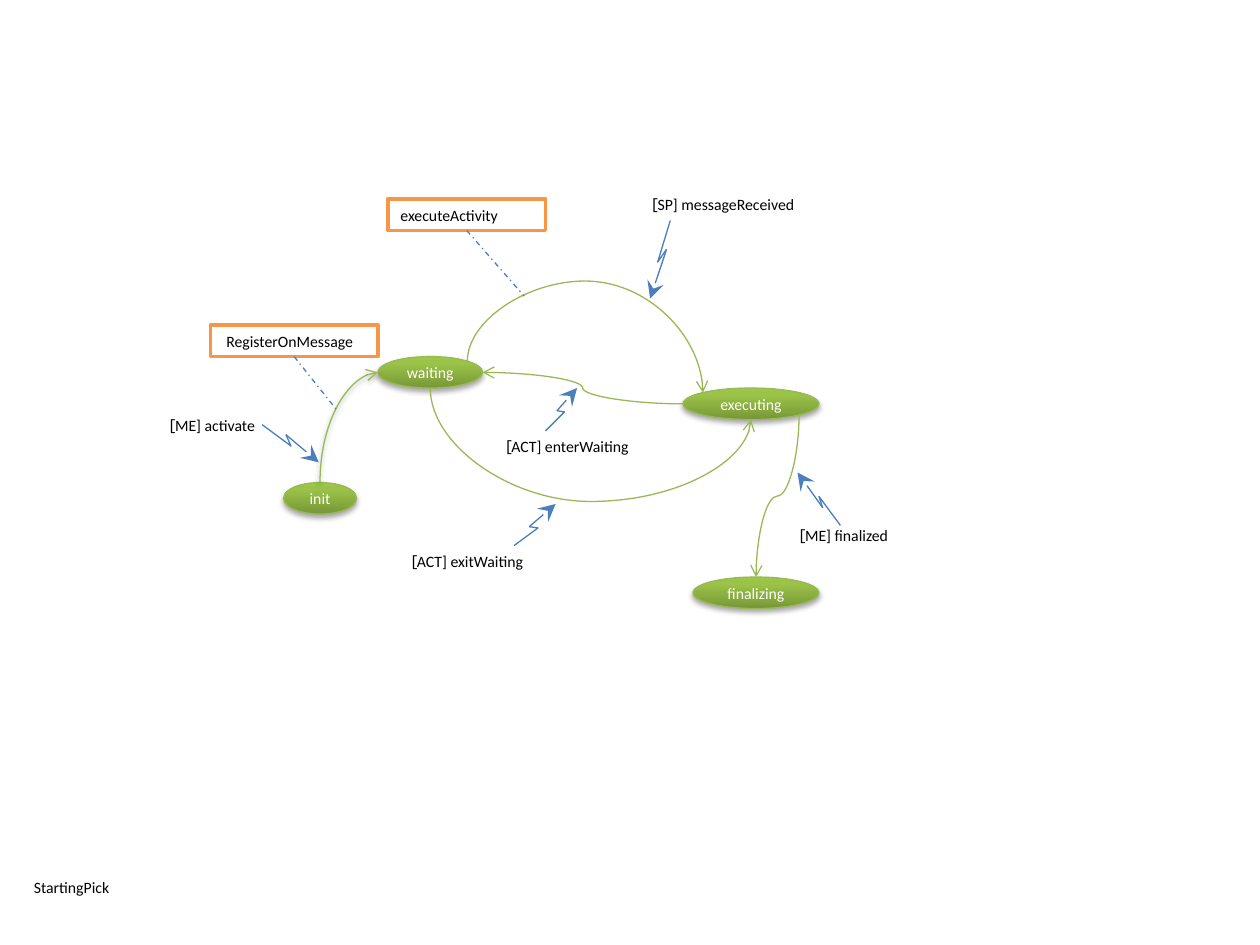
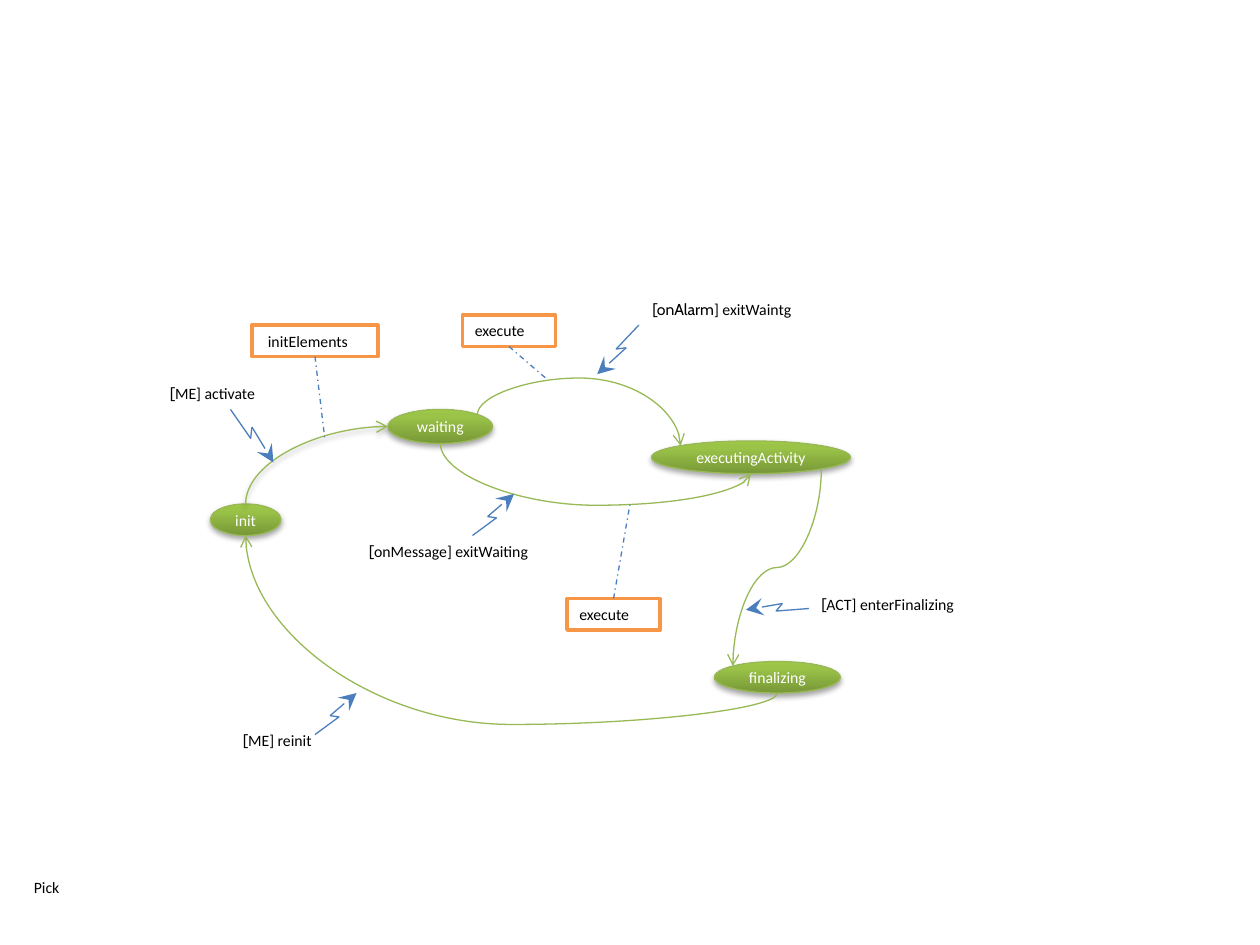
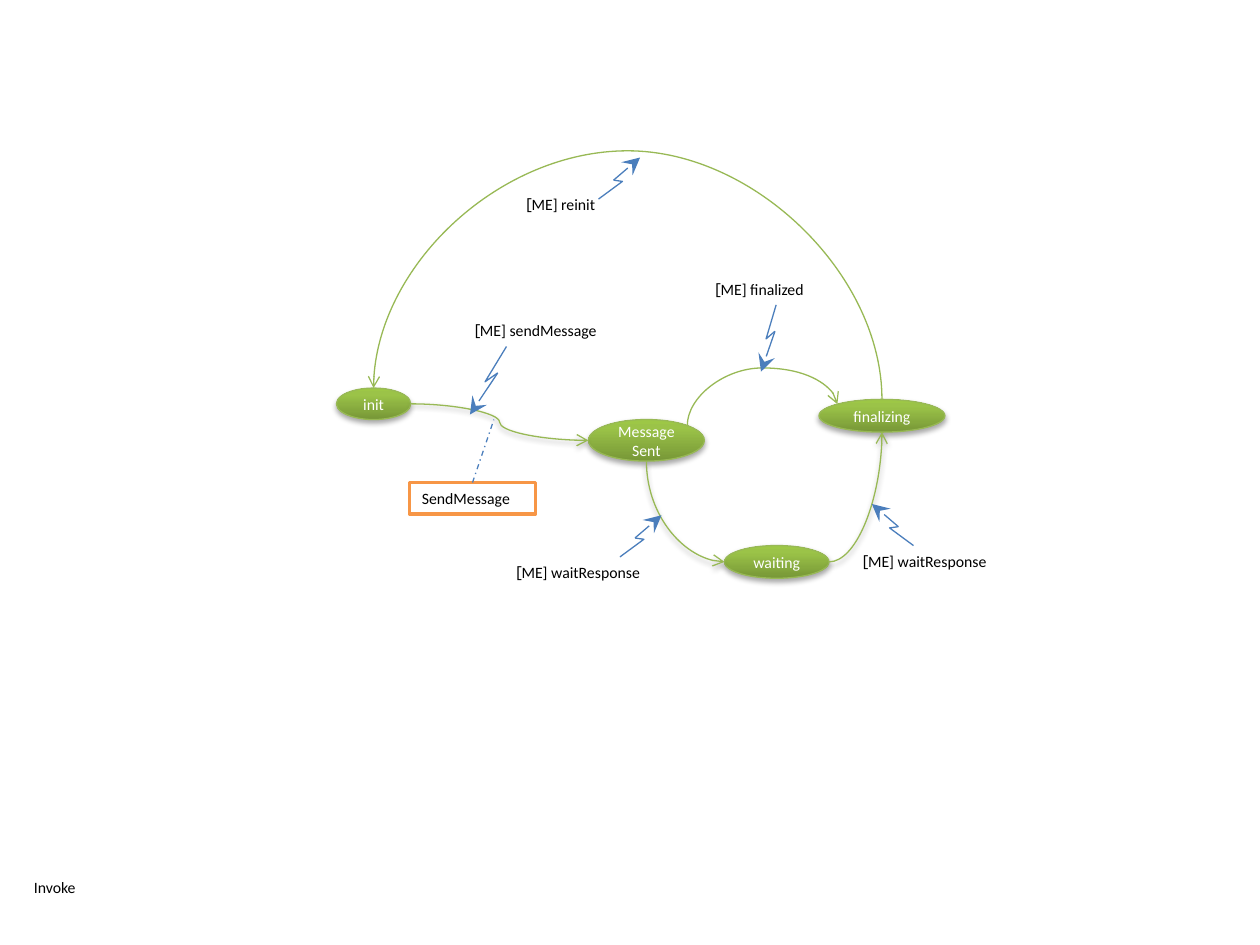
from dataclasses import dataclass
from math import cos, pi, sin

from lxml.etree import SubElement
from pptx import Presentation
from pptx.dml.color import RGBColor
from pptx.enum.dml import MSO_LINE
from pptx.enum.shapes import MSO_CONNECTOR as CXN, MSO_SHAPE as SHAPE
from pptx.enum.text import MSO_ANCHOR, MSO_AUTO_SIZE as FIT, PP_ALIGN
from pptx.oxml import parse_xml
from pptx.oxml.ns import nsdecls, qn
from pptx.util import Inches, Pt

GREEN = RGBColor(0x98, 0xB9, 0x55)
BLUE = RGBColor(0x4B, 0x7E, 0xBC)
ORANGE = RGBColor(0xF7, 0x96, 0x46)
WHITE = RGBColor(0xFF, 0xFF, 0xFF)
BLACK = RGBColor(0, 0, 0)
STATE_STOPS = (
    (0, RGBColor(0x77, 0x97, 0x37)),
    (80, RGBColor(0x9B, 0xC3, 0x48)),
    (100, RGBColor(0x9D, 0xC7, 0x46)),
)
BODY_FONT, BRACKET_FONT = "Calibri", "Cabin"
TEXT_SIZE, THIN, THICK = Pt(9), Pt(0.75), Pt(2)
ROW = 0.25  # height of boxes, labels and most states

# Connection sites of an ellipse, anticlockwise from the top
TOP, TOP_LEFT, LEFT, _, BOTTOM, BOTTOM_RIGHT, RIGHT, TOP_RIGHT = range(8)
# Connection sites of a rectangle
BOX_TOP, BOX_BOTTOM = 0, 2

Point = tuple[float, float]


@dataclass
class State:
    text: str
    x: float
    y: float
    w: float
    h: float = ROW

    def site(self, i: int) -> Point:
        a = i * pi / 4
        return (self.x + self.w / 2 * (1 - sin(a)),
                self.y + self.h / 2 * (1 - cos(a)))


@dataclass
class Transition:
    src: str
    src_site: int
    dst: str
    dst_site: int
    peak: float | None = None  # height that the arc reaches
    shadow: bool = False
    back: bool = False  # arrowhead at the source


@dataclass
class Action:
    text: str
    x: float
    y: float
    w: float
    target: Point

    @property
    def side(self) -> int:
        """The side of the box that faces the target."""
        return BOX_TOP if self.target[1] < self.y else BOX_BOTTOM


@dataclass
class Event:
    text: str
    x: float
    y: float
    w: float
    bolt: list[Point]
    lead: int = 1  # characters set in the bracket font


@dataclass
class Diagram:
    name: str
    name_w: float
    states: list[State]
    transitions: list[Transition]
    actions: list[Action]
    events: list[Event]


def rising_bolt(x: float, y: float, way: int = 1) -> list[Point]:
    """Standard bolt, rising to the right (1) or to the left (-1)."""
    steps = ((0, 0), (0.19, -0.14), (0.12, -0.15), (0.33, -0.33))
    return [(x + way * dx, y + dy) for dx, dy in steps]


def inches(*values: float) -> list[int]:
    return [Inches(v) for v in values]


# Shared styling
def set_effect(shape, shadow: bool) -> None:
    spPr = shape.element.spPr
    for old in spPr.findall(qn("a:effectLst")):
        spPr.remove(old)
    effects = SubElement(spPr, qn("a:effectLst"))
    if shadow:
        outer = SubElement(effects, qn("a:outerShdw"), blurRad="40000", dist="23000",
                           dir="5400000", rotWithShape="0")
        clr = SubElement(outer, qn("a:srgbClr"), val=str(BLACK))
        SubElement(clr, qn("a:alpha"), val="35000")


def set_line(shape, color: RGBColor, width: int = THIN) -> None:
    shape.line.color.rgb = color
    shape.line.width = width


def set_gradient(shape) -> None:
    stops = "".join(f'<a:gs pos="{pos * 1000}"><a:srgbClr val="{color}"/></a:gs>'
                    for pos, color in STATE_STOPS)
    shape.fill.solid()
    spPr = shape.element.spPr
    spPr.replace(spPr.find(qn("a:solidFill")), parse_xml(
        f'<a:gradFill {nsdecls("a")} rotWithShape="1"><a:gsLst>{stops}</a:gsLst>'
        '<a:lin ang="16200000" scaled="0"/></a:gradFill>'))


def add_arrowhead(cxn, end: str, kind: str, size: str = "med") -> None:
    SubElement(cxn.line._get_or_add_ln(), qn(f"a:{end}"), type=kind, w=size, len=size)


def add_run(p, text: str, color: RGBColor = BLACK, font: str = BODY_FONT) -> None:
    r = p.add_run()
    r.text = text
    r.font.size = TEXT_SIZE
    r.font.name = font
    r.font.color.rgb = color


def add_text(slide, text: str, x: float, y: float, w: float,
             lead: int = 0, wrap: bool = True) -> None:
    tf = slide.shapes.add_textbox(*inches(x, y, w, ROW)).text_frame
    tf.word_wrap = wrap
    tf.auto_size = FIT.SHAPE_TO_FIT_TEXT
    p = tf.paragraphs[0]
    if lead:
        add_run(p, text[:lead], font=BRACKET_FONT)
    add_run(p, text[lead:])


# Parts of a diagram
def add_state(slide, state: State):
    sp = slide.shapes.add_shape(SHAPE.OVAL, *inches(state.x, state.y, state.w, state.h))
    set_gradient(sp)
    set_line(sp, GREEN)
    set_effect(sp, True)
    tf = sp.text_frame
    tf.word_wrap = True
    tf.vertical_anchor = MSO_ANCHOR.MIDDLE
    tf.paragraphs[0].alignment = PP_ALIGN.CENTER
    add_run(tf.paragraphs[0], state.text, WHITE)
    return sp


def add_transition(slide, t: Transition, states: dict, shapes: dict) -> None:
    x1, y1 = states[t.src].site(t.src_site)
    x2, y2 = states[t.dst].site(t.dst_site)
    dx, dy = x2 - x1, y2 - y1
    sideways = [site in (LEFT, RIGHT) for site in (t.src_site, t.dst_site)]

    # The preset curve starts sideways: one that starts upright is turned
    if sideways[0]:
        turn, across, down = 0, dx, dy
    elif dx > 0 and dy > 0:
        turn, across, down = 270, -dy, dx
    else:
        turn, across, down = 90, dy, -dx
    cx, cy = (x1 + x2) / 2, (y1 + y2) / 2
    cxn = slide.shapes.add_connector(CXN.CURVE, *inches(
        cx - across / 2, cy - down / 2, cx + across / 2, cy + down / 2))
    if turn:
        cxn.element.spPr.find(qn("a:xfrm")).set("rot", str(turn * 60000))

    geom = cxn.element.spPr.find(qn("a:prstGeom"))
    if sideways[0] != sideways[1]:
        geom.set("prst", "curvedConnector2")
    else:
        bend = 0.5 if t.peak is None else (t.peak - y1) / dy
        SubElement(geom.find(qn("a:avLst")), qn("a:gd"), name="adj1",
                   fmla=f"val {round(bend * 100000)}")

    ends = cxn.element.nvCxnSpPr.cNvCxnSpPr
    for tag, name, site in (("a:stCxn", t.src, t.src_site), ("a:endCxn", t.dst, t.dst_site)):
        SubElement(ends, qn(tag), id=str(shapes[name].shape_id), idx=str(site))
    set_line(cxn, GREEN)
    add_arrowhead(cxn, "headEnd" if t.back else "tailEnd", "arrow")
    set_effect(cxn, t.shadow)


def add_action(slide, a: Action) -> None:
    sp = slide.shapes.add_shape(SHAPE.RECTANGLE, *inches(a.x, a.y, a.w, ROW))
    sp.shadow.inherit = False
    sp.fill.solid()
    sp.fill.fore_color.rgb = WHITE
    set_line(sp, ORANGE, THICK)
    tf = sp.text_frame
    tf.word_wrap = True
    tf.auto_size = FIT.SHAPE_TO_FIT_TEXT
    tf.vertical_anchor = MSO_ANCHOR.TOP
    tf.paragraphs[0].alignment = PP_ALIGN.LEFT
    add_run(tf.paragraphs[0], a.text)

    cxn = slide.shapes.add_connector(CXN.STRAIGHT, *inches(a.x, a.y, *a.target))
    cxn.begin_connect(sp, a.side)
    set_line(cxn, BLUE)
    cxn.line.dash_style = MSO_LINE.DASH_DOT
    set_effect(cxn, False)


def add_event(slide, e: Event) -> None:
    add_text(slide, e.text, e.x, e.y, e.w, e.lead)
    start, *turns, tip = [tuple(inches(*pt)) for pt in e.bolt]
    group = slide.shapes.add_group_shape()
    builder = group.shapes.build_freeform(*start, scale=1.0)
    builder.add_line_segments(turns, close=False)
    zigzag = builder.convert_to_shape()
    zigzag.fill.background()
    cxn = group.shapes.add_connector(CXN.STRAIGHT, *turns[-1], *tip)
    for part in (zigzag, cxn):
        set_line(part, BLUE)
        set_effect(part, False)
    add_arrowhead(cxn, "tailEnd", "stealth", "lg")


def add_diagram(prs, d: Diagram) -> None:
    slide = prs.slides.add_slide(prs.slide_layouts[6])
    states = {s.text: s for s in d.states}
    shapes = {s.text: add_state(slide, s) for s in d.states}
    for t in d.transitions:
        add_transition(slide, t, states, shapes)
    for a in d.actions:
        add_action(slide, a)
    for e in d.events:
        add_event(slide, e)
    add_text(slide, d.name, 0.17, 6.92, d.name_w, wrap=False)


STARTING_PICK = Diagram(
    "StartingPick", 0.81,
    states=[
        State("init", 2.25, 3.83, 0.58),
        State("waiting", 3, 2.83, 0.83),
        State("executing", 5.42, 3.08, 1.08),
        State("finalizing", 5.5, 4.58, 1),
    ],
    transitions=[
        Transition("init", TOP, "waiting", LEFT, shadow=True),
        Transition("waiting", RIGHT, "executing", LEFT, back=True),
        Transition("waiting", TOP_RIGHT, "executing", TOP_LEFT, peak=2.23),
        Transition("executing", BOTTOM_RIGHT, "finalizing", TOP),
        Transition("waiting", BOTTOM, "executing", BOTTOM, peak=3.98),
    ],
    actions=[
        Action("executeActivity", 3.08, 1.58, 1.25, (4.16, 2.35)),
        Action(" RegisterOnMessage", 1.67, 2.58, 1.33, (2.67, 3.25)),
    ],
    events=[
        Event("[SP] messageReceived", 5.08, 1.5, 1.48,
              [(5.32, 1.75), (5.22, 2.08), (5.29, 1.98), (5.16, 2.37)]),
        Event("[ME] activate", 1.25, 3.25, 1.48,
              [(2.08, 3.37), (2.31, 3.54), (2.27, 3.45), (2.53, 3.67)]),
        Event("[ACT] exitWaiting", 3.17, 4.33, 1.41, rising_bolt(4.08, 4.33)),
        Event("[ME] finalized", 6.25, 4.12, 1.48,
              [(6.67, 4.17), (6.5, 3.94), (6.53, 4.03), (6.33, 3.75)]),
        Event("[ACT] enterWaiting", 3.92, 3.42, 1.64,
              [(4.33, 3.42), (4.48, 3.27), (4.42, 3.26), (4.58, 3.08)]),
    ],
)

PICK = Diagram(
    "Pick", 0.41,
    states=[
        State("init", 1.67, 4, 0.56),
        State("waiting", 3.08, 3.25, 0.83, 0.27),
        State("executingActivity", 5.17, 3.5, 1.58, 0.26),
        State("finalizing", 5.67, 5.25, 1),
    ],
    transitions=[
        Transition("init", TOP, "waiting", LEFT, shadow=True),
        Transition("waiting", TOP_RIGHT, "executingActivity", TOP_LEFT, peak=3),
        Transition("executingActivity", BOTTOM_RIGHT, "finalizing", TOP_LEFT),
        Transition("waiting", BOTTOM, "executingActivity", BOTTOM, peak=4.01),
        Transition("finalizing", BOTTOM, "init", BOTTOM, peak=5.75),
    ],
    actions=[
        Action("execute", 3.67, 2.5, 0.74, (4.33, 3)),
        Action(" initElements", 2, 2.58, 1, (2.58, 3.5)),
        Action("execute", 4.5, 4.75, 0.74, (5, 4)),
    ],
    events=[
        Event("[onAlarm] exitWaintg", 5.08, 2.33, 1.48,
              [(5.07, 2.58), (4.89, 2.77), (4.97, 2.76), (4.74, 2.97)], lead=8),
        Event("[ME] activate", 1.25, 3, 1.48,
              [(1.83, 3.25), (1.99, 3.48), (2, 3.39), (2.17, 3.67)]),
        Event("[onMessage] exitWaiting", 2.83, 4.25, 1.58, rising_bolt(3.75, 4.25)),
        Event("[ACT] enterFinalizing", 6.42, 4.67, 1.48,
              [(6.42, 4.83), (6.16, 4.85), (6.21, 4.79), (5.92, 4.84)]),
        Event("[ME] reinit", 1.83, 5.75, 0.83, rising_bolt(2.5, 5.83)),
    ],
)

INVOKE = Diagram(
    "Invoke", 0.55,
    states=[
        State("init", 2.67, 3.08, 0.59),
        State("MessageSent", 4.67, 3.33, 0.92, 0.33),
        State("finalizing", 6.5, 3.17, 1, 0.26),
        State("waiting", 5.75, 4.33, 0.83, 0.26),
    ],
    transitions=[
        Transition("init", RIGHT, "MessageSent", LEFT, shadow=True),
        Transition("MessageSent", TOP_RIGHT, "finalizing", TOP_LEFT, peak=2.92),
        Transition("MessageSent", BOTTOM, "waiting", LEFT, shadow=True),
        Transition("waiting", RIGHT, "finalizing", BOTTOM, shadow=True),
        Transition("finalizing", TOP, "init", TOP, peak=1.2),
    ],
    actions=[Action("SendMessage", 3.25, 3.83, 1, (3.92, 3.33))],
    events=[
        Event("[ME] finalized", 5.58, 2.17, 1.48,
              [(6.16, 2.42), (6.08, 2.69), (6.15, 2.63), (6.04, 2.95)]),
        Event("[ME] sendMessage", 3.67, 2.5, 1.48,
              [(4.02, 2.75), (3.85, 3.03), (3.95, 2.96), (3.73, 3.29)]),
        Event("[ME] waitResponse", 4, 4.42, 1.41, rising_bolt(4.92, 4.42)),
        Event("[ME] waitResponse", 6.75, 4.33, 1.41, rising_bolt(7.25, 4.33, -1)),
        Event("[ME] reinit", 4.08, 1.5, 0.83, rising_bolt(4.75, 1.58)),
    ],
)


def main() -> None:
    prs = Presentation()
    prs.slide_width, prs.slide_height = inches(10, 7.5)
    for diagram in (STARTING_PICK, PICK, INVOKE):
        add_diagram(prs, diagram)
    prs.save("out.pptx")


if __name__ == "__main__":
    main()
